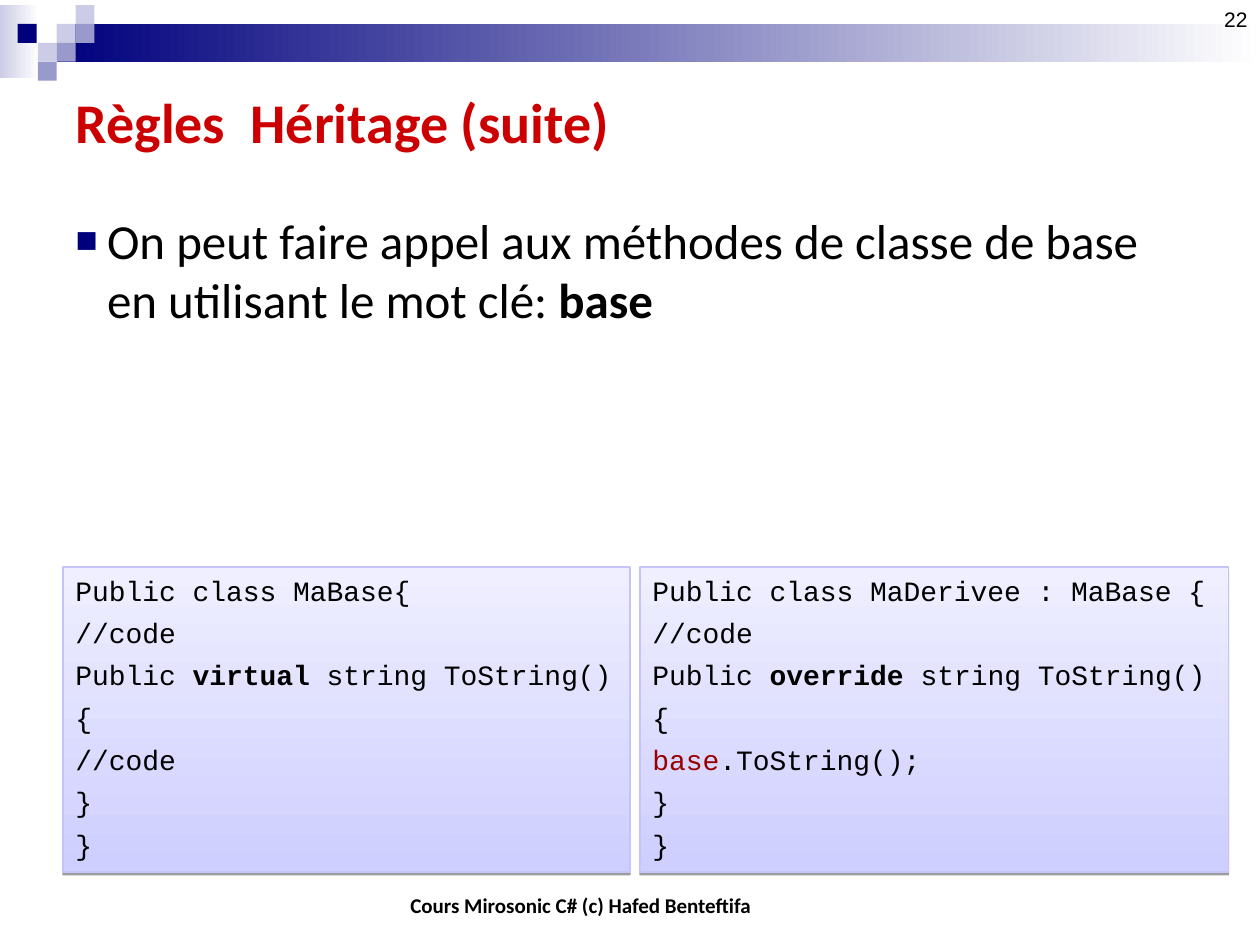
from dataclasses import dataclass

from lxml import etree
from pptx import Presentation
from pptx import util as u
from pptx.dml.color import RGBColor
from pptx.enum import shapes, text
from pptx.oxml import ns

NAVY = RGBColor(0x00, 0x00, 0x7D)
LILAC = RGBColor(0x99, 0x99, 0xCC)
PALE_LILAC = RGBColor(0xCC, 0xCC, 0xE6)
WHITE = RGBColor(0xFF, 0xFF, 0xFF)
BLACK = RGBColor(0x00, 0x00, 0x00)
TITLE_RED = RGBColor(0xCC, 0x00, 0x00)
KEYWORD_RED = RGBColor(0x99, 0x00, 0x00)
PANEL_DARK = RGBColor(0xCE, 0xCE, 0xFF)
PANEL_LIGHT = RGBColor(0xEF, 0xEF, 0xFF)
PANEL_LINE = RGBColor(0xC4, 0xC4, 0xFB)
TILE = 0.15


@dataclass
class Box:
    left: float
    top: float
    width: float
    height: float

    def lengths(self) -> list:
        return [u.Inches(v) for v in (self.left, self.top, self.width, self.height)]


@dataclass
class Run:
    text: str
    bold: bool = False
    color: RGBColor = BLACK


@dataclass
class Panel:
    box: Box
    lines: list[list[Run]]


@dataclass
class Label:
    box: Box
    run: Run
    font: str
    align: text.PP_ALIGN
    anchor: text.MSO_ANCHOR


TILES = [
    (0.45, 0.19, PALE_LILAC), (0.6, 0.04, PALE_LILAC), (0.6, 0.19, LILAC),
    (0.3, 0.34, PALE_LILAC), (0.14, 0.19, NAVY), (0.45, 0.34, LILAC),
    (0.3, 0.49, LILAC),
]


def method_lines(header: str, modifier: str, body: list[Run]) -> list[list[Run]]:
    return [
        [Run(header)],
        [Run("//code")],
        [Run("Public "), Run(modifier, bold=True), Run(" string ToString()")],
        [Run("{")],
        body,
        [Run("}")],
        [Run("}")],
    ]


PANELS = [
    Panel(Box(0.5, 4.5, 4.5, 2.42),
          method_lines("Public class MaBase{", "virtual", [Run("//code")])),
    Panel(Box(5.08, 4.5, 4.67, 2.42),
          method_lines("Public class MaDerivee : MaBase {", "override",
                       [Run("base", color=KEYWORD_RED), Run(".ToString();")])),
]

LABELS = [
    Label(Box(7.67, 0, 2.33, 0.52), Run("22"), "Arial",
          text.PP_ALIGN.RIGHT, text.MSO_ANCHOR.TOP),
    Label(Box(2.09, 6.83, 5.04, 0.5),
          Run("Cours Mirosonic C# (c) Hafed Benteftifa", bold=True), "Calibri",
          text.PP_ALIGN.CENTER, text.MSO_ANCHOR.BOTTOM),
]


def apply(target, values: dict) -> None:
    for name, value in values.items():
        setattr(target, name, value)


def write(paragraph, runs: list[Run], font: str, size: float) -> None:
    for item in runs:
        run = paragraph.add_run()
        run.text = item.text
        apply(run.font, {"name": font, "size": u.Pt(size), "bold": item.bold})
        run.font.color.rgb = item.color


def indent(paragraph, inches: float) -> None:
    properties = paragraph._p.get_or_add_pPr()
    properties.set("marL", str(u.Inches(inches)))
    properties.set("indent", str(-u.Inches(inches)))


def add_rectangle(slide, box: Box, colors: list[RGBColor], angle: float = 0):
    shape = slide.shapes.add_shape(shapes.MSO_SHAPE.RECTANGLE, *box.lengths())
    shape.line.fill.background()
    shape.shadow.inherit = False
    if len(colors) == 1:
        shape.fill.solid()
        shape.fill.fore_color.rgb = colors[0]
    else:
        shape.fill.gradient()
        shape.fill.gradient_angle = angle
        for position, (stop, color) in enumerate(zip(shape.fill.gradient_stops, colors)):
            stop.position = position
            stop.color.rgb = color
    return shape


def add_bottom_shadow(shape) -> None:
    effects = shape.element.spPr.find(ns.qn("a:effectLst"))
    shadow = etree.SubElement(effects, ns.qn("a:outerShdw"), blurRad="0",
                              dist=str(u.Pt(1.6)), dir="5400000", rotWithShape="0")
    color = etree.SubElement(shadow, ns.qn("a:srgbClr"), val=str(BLACK))
    etree.SubElement(color, ns.qn("a:alpha"), val="38000")


def add_bullet(paragraph) -> None:
    properties = paragraph._p.get_or_add_pPr()
    color = etree.SubElement(properties, ns.qn("a:buClr"))
    etree.SubElement(color, ns.qn("a:srgbClr"), val=str(NAVY))
    etree.SubElement(properties, ns.qn("a:buSzPct"), val="75000")
    etree.SubElement(properties, ns.qn("a:buFont"), typeface="Arial")
    etree.SubElement(properties, ns.qn("a:buChar"), char="■")


def add_panel(slide, panel: Panel) -> None:
    shape = add_rectangle(slide, panel.box, [PANEL_DARK, PANEL_LIGHT], 90)
    shape.line.color.rgb = PANEL_LINE
    shape.line.width = u.Pt(0.75)
    add_bottom_shadow(shape)
    frame = shape.text_frame
    apply(frame, {"word_wrap": True, "vertical_anchor": text.MSO_ANCHOR.TOP})
    for number, runs in enumerate(panel.lines):
        paragraph = frame.add_paragraph() if number else frame.paragraphs[0]
        apply(paragraph, {"alignment": text.PP_ALIGN.LEFT, "space_before": u.Pt(5)})
        indent(paragraph, 0.38)
        write(paragraph, runs, "Courier New", 16)


def add_label(slide, label: Label) -> None:
    frame = slide.shapes.add_textbox(*label.box.lengths()).text_frame
    apply(frame, {"word_wrap": True, "vertical_anchor": label.anchor})
    frame.paragraphs[0].alignment = label.align
    write(frame.paragraphs[0], [label.run], label.font, 12)


def fill_placeholder(shape, box: Box, frame_format: dict, paragraph_format: dict):
    apply(shape, dict(zip(("left", "top", "width", "height"), box.lengths())))
    apply(shape.text_frame, {"word_wrap": True, "auto_size": text.MSO_AUTO_SIZE.NONE,
                             **frame_format})
    paragraph = shape.text_frame.paragraphs[0]
    apply(paragraph, {"alignment": text.PP_ALIGN.LEFT, **paragraph_format})
    return paragraph


def main() -> None:
    presentation = Presentation()
    apply(presentation, {"slide_width": u.Inches(10), "slide_height": u.Inches(7.5)})
    slide = presentation.slides.add_slide(presentation.slide_layouts[1])

    add_rectangle(slide, Box(0, 0.04, 0.31, 0.58), [PALE_LILAC, WHITE])
    add_rectangle(slide, Box(0.45, 0.19, 9.55, 0.3), [NAVY, WHITE])
    for left, top, color in TILES:
        add_rectangle(slide, Box(left, top, TILE, TILE), [color])

    title = fill_placeholder(
        slide.shapes.title, Box(0.5, 0.52, 9, 0.93),
        {"vertical_anchor": text.MSO_ANCHOR.MIDDLE, "margin_top": 0}, {})
    write(title, [Run("Règles  Héritage (suite)", True, TITLE_RED)], "Calibri", 32)

    body = fill_placeholder(slide.placeholders[1], Box(0.5, 1.62, 9, 1.38),
                            {}, {"space_before": u.Pt(7)})
    indent(body, 0.25)
    add_bullet(body)
    write(body, [Run("On peut faire appel aux méthodes de classe de base "
                     "en utilisant le mot clé: "), Run("base", bold=True)], "Calibri", 28)

    for label in LABELS:
        add_label(slide, label)
    for panel in PANELS:
        add_panel(slide, panel)
    presentation.save("out.pptx")


if __name__ == "__main__":
    main()
